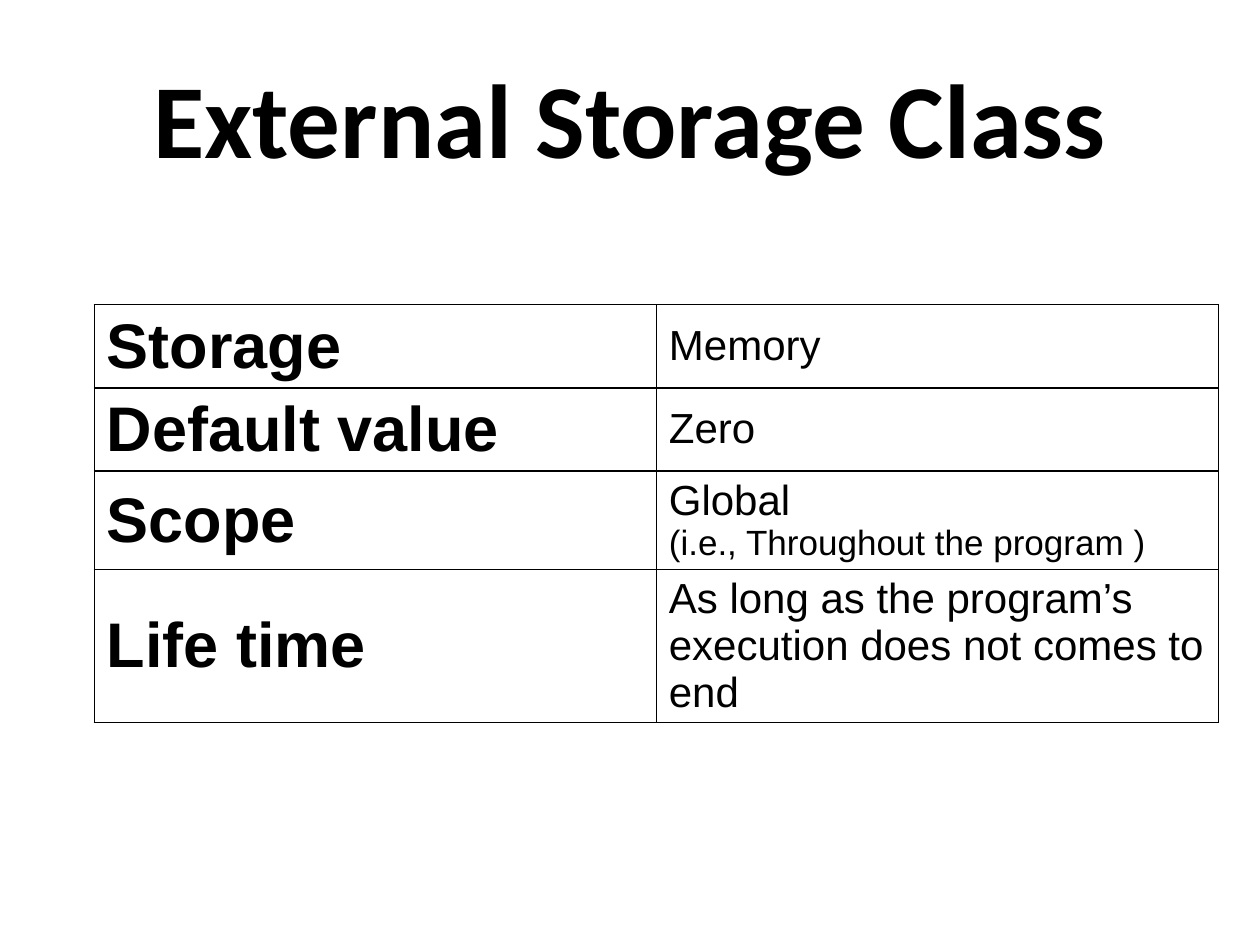
from dataclasses import dataclass

from lxml.etree import SubElement
from pptx import Presentation
from pptx.dml.color import RGBColor
from pptx.enum.text import MSO_ANCHOR as Anchor, PP_ALIGN as Align
from pptx.oxml.ns import qn
from pptx.util import Cm, Pt

TITLE = "External Storage Class"
# Each row: label, then the lines of its value
PROPERTIES = [
    ("Storage", ["Memory"]),
    ("Default value", ["Zero"]),
    ("Scope", ["Global ", "(i.e., Throughout the program )"]),
    ("Life time", ["As long as the program’s execution does not comes to end"]),
]


@dataclass(frozen=True)
class Theme:
    """Colours, fonts and type sizes of the slide."""
    ink: str = "000000"
    paper: str = "FFFFFF"
    title_font: str = "Calibri"
    table_font: str = "Arial"
    title_size: int = 60
    label_size: int = 36
    value_size: int = 24
    note_size: int = 20
    border_width: int = 1


THEME = Theme()


def add_text(paragraph, text, font_name, size, bold=False):
    """Add one formatted run to a paragraph."""
    run = paragraph.add_run()
    run.text = text
    run.font.name = font_name
    run.font.size = Pt(size)
    run.font.bold = bold
    run.font.color.rgb = RGBColor.from_string(THEME.ink)


def set_borders(cell):
    """Draw a solid line on all four sides of a cell."""
    properties = cell._tc.get_or_add_tcPr()
    for position, side in enumerate(("lnL", "lnR", "lnT", "lnB")):
        line = SubElement(properties, qn(f"a:{side}"), w=str(Pt(THEME.border_width)))
        fill = SubElement(line, qn("a:solidFill"))
        SubElement(fill, qn("a:srgbClr"), val=THEME.ink)
        properties.insert(position, line)


def fill_cell(cell, lines, sizes, bold=False):
    """Write lines into a cell, one paragraph each, and style the cell."""
    cell.vertical_anchor = Anchor.MIDDLE
    cell.fill.solid()
    cell.fill.fore_color.rgb = RGBColor.from_string(THEME.paper)
    set_borders(cell)
    frame = cell.text_frame
    for index, (line, size) in enumerate(zip(lines, sizes)):
        paragraph = frame.add_paragraph() if index else frame.paragraphs[0]
        add_text(paragraph, line, THEME.table_font, size, bold)


def add_title(slide):
    """Place and format the title placeholder."""
    title = slide.shapes.title
    title.left, title.top, title.width, title.height = (
        Cm(1.27), Cm(0.76), Cm(22.86), Cm(3.18))
    frame = title.text_frame
    frame.word_wrap = True
    frame.vertical_anchor = Anchor.MIDDLE
    paragraph = frame.paragraphs[0]
    paragraph.alignment = Align.CENTER
    add_text(paragraph, TITLE, THEME.title_font, THEME.title_size, bold=True)


def add_properties(slide):
    """Add the two-column table; rows grow to fit their text."""
    row_height = Cm(1.04)
    table = slide.shapes.add_table(
        len(PROPERTIES), 2, Cm(1.9), Cm(6.14), Cm(22.66),
        row_height * len(PROPERTIES)).table
    table.first_row = table.horz_banding = False
    for row, (label, lines) in enumerate(PROPERTIES):
        fill_cell(table.cell(row, 0), [label], [THEME.label_size], bold=True)
        fill_cell(table.cell(row, 1), lines, [THEME.value_size, THEME.note_size])


def main():
    """Build and save the presentation."""
    presentation = Presentation()
    presentation.slide_width, presentation.slide_height = Cm(25.4), Cm(19.05)
    title_only = presentation.slide_layouts[5]
    slide = presentation.slides.add_slide(title_only)
    add_title(slide)
    add_properties(slide)
    presentation.save("out.pptx")


main()
